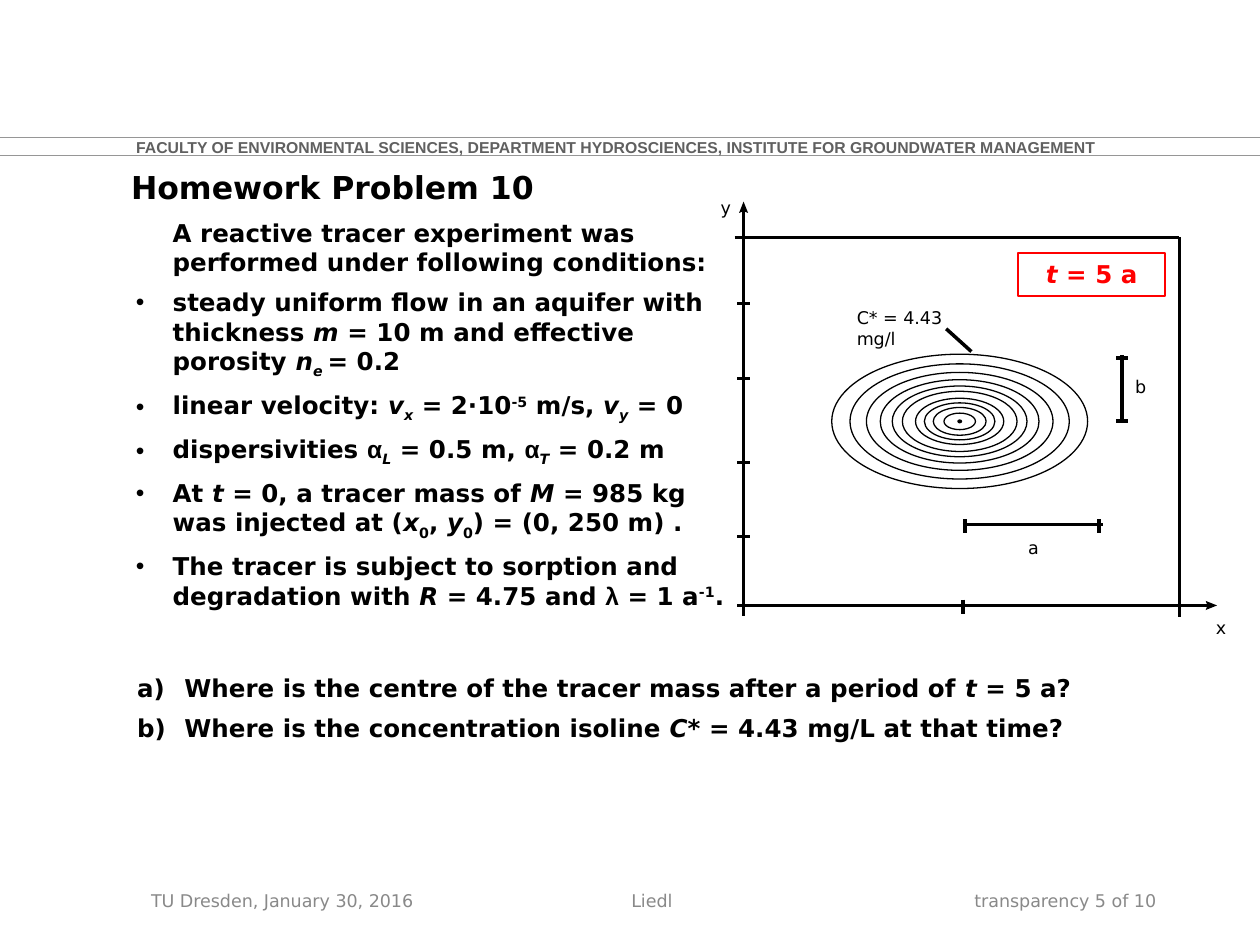
from dataclasses import dataclass

from lxml import etree
from pptx import Presentation
from pptx.dml.color import RGBColor
from pptx.enum.shapes import MSO_CONNECTOR, MSO_SHAPE
from pptx.enum.text import MSO_ANCHOR, PP_ALIGN
from pptx.oxml.ns import qn
from pptx.util import Pt

LEFT, CENTER, RIGHT = PP_ALIGN.LEFT, PP_ALIGN.CENTER, PP_ALIGN.RIGHT
TOP, MIDDLE = MSO_ANCHOR.TOP, MSO_ANCHOR.MIDDLE
STRAIGHT = MSO_CONNECTOR.STRAIGHT
OVAL, RECTANGLE = MSO_SHAPE.OVAL, MSO_SHAPE.RECTANGLE
INSETS = (7.2, 3.6, 7.2, 3.6)
NO_INSETS = (0, 0, 0, 0)
BULLET = ("buChar", {"char": "•"})
LETTER = ("buAutoNum", {"type": "alphaLcParenR"})
BASELINES = {"_": "-25000", "^": "30000"}


@dataclass(frozen=True)
class Theme:
    font: str = "DejaVu Sans"
    plain_font: str = "Arial"
    ink: str = "000000"
    rule: str = "969696"
    banner: str = "606060"
    footer: str = "898989"
    accent: str = "FF0000"
    paper: str = "FFFFFF"
    title_size: float = 18
    body_size: float = 14
    label_size: float = 10
    banner_size: float = 9
    hairline: float = 0


class SlideBuilder:
    def __init__(self, slide, theme):
        self.slide, self.theme = slide, theme

    def line(self, x1, y1, x2, y2, color=None, width=None):
        line = self.slide.shapes.add_connector(
            STRAIGHT, Pt(x1), Pt(y1), Pt(x2), Pt(y2))
        self.outline(line, color or self.theme.ink, width)
        etree.SubElement(line._element.spPr, qn("a:effectLst"))

    def outline(self, shape, color, width=None):
        shape.line.color.rgb = RGBColor.from_string(color)
        shape.line.width = Pt(self.theme.hairline if width is None else width)

    def fill(self, shape, color):
        shape.fill.solid()
        shape.fill.fore_color.rgb = RGBColor.from_string(color)

    def shape(self, kind, x, y, width, height, line, fill=None, line_width=None):
        shape = self.slide.shapes.add_shape(
            kind, Pt(x), Pt(y), Pt(width), Pt(height))
        shape.shadow.inherit = False
        self.outline(shape, line, line_width)
        if fill:
            self.fill(shape, fill)
        else:
            shape.fill.background()
        return shape

    def ellipse(self, x, y, width, height, fill=None):
        self.shape(OVAL, x - width / 2, y - height / 2, width, height,
                   self.theme.ink, fill)

    def arrowhead(self, points):
        corners = [(Pt(x), Pt(y)) for x, y in points]
        builder = self.slide.shapes.build_freeform(*corners[0])
        builder.add_line_segments(corners[1:], close=True)
        head = builder.convert_to_shape()
        head.shadow.inherit = False
        self.fill(head, self.theme.ink)
        head.line.fill.background()

    def text(self, x, y, width, height, paragraphs, **style):
        box = self.slide.shapes.add_textbox(Pt(x), Pt(y), Pt(width), Pt(height))
        self.set_text(box, paragraphs, **style)

    def set_text(self, box, paragraphs, size, color=None, bold=False, font=None,
                 align=LEFT, anchor=TOP, insets=INSETS, wrap=True, hang=0, after=0):
        """Each paragraph is (marker, runs); each run is (text, style flags)."""
        frame = box.text_frame
        frame.word_wrap, frame.vertical_anchor = wrap, anchor
        (frame.margin_left, frame.margin_top,
         frame.margin_right, frame.margin_bottom) = map(Pt, insets)
        for number, (marker, runs) in enumerate(paragraphs):
            para = frame.add_paragraph() if number else frame.paragraphs[0]
            self.indent(para, marker, hang)
            para.alignment, para.space_after = align, Pt(after)
            for words, flags in runs:
                span = para.add_run()
                span.text = words
                span.font.size, span.font.bold = Pt(size), bold
                span.font.italic = "i" in flags
                span.font.name = (self.theme.plain_font if "g" in flags
                                  else font or self.theme.font)
                span.font.color.rgb = RGBColor.from_string(color or self.theme.ink)
                for flag, baseline in BASELINES.items():
                    if flag in flags:
                        span.font._element.set("baseline", baseline)

    def indent(self, para, marker, hang):
        props = para._p.get_or_add_pPr()
        props.set("marL", str(Pt(hang)))
        props.set("indent", str(-Pt(hang) if marker else 0))
        if not marker:
            return
        tint = etree.SubElement(props, qn("a:buClr"))
        etree.SubElement(tint, qn("a:srgbClr"), val=self.theme.ink)
        if marker is BULLET:
            etree.SubElement(props, qn("a:buFont"), typeface=self.theme.plain_font)
        tag, values = marker
        etree.SubElement(props, qn("a:" + tag), **values)


def plain(words):
    return [(None, [(words, "")])]


CONDITIONS = [
    (None, [("A reactive tracer experiment was performed under following conditions:", "")]),
    (BULLET, [("steady uniform flow in an aquifer with thickness ", ""), ("m", "i"),
              (" = 10 m and effective porosity ", ""), ("n", "i"), ("e ", "i_"),
              ("= 0.2", "")]),
    (BULLET, [("linear velocity: ", ""), ("v", "i"), ("x", "i_"), (" = 2·10", ""),
              ("-5", "^"), (" m/s, ", ""), ("v", "i"), ("y", "i_"), (" = 0", "")]),
    (BULLET, [("dispersivities ", ""), ("α", "g"), ("L", "i_"), (" = 0.5 m, ", ""),
              ("α", "g"), ("T", "i_"), (" = 0.2 m", "")]),
    (BULLET, [("At ", ""), ("t", "i"), (" = 0, a tracer mass of ", ""), ("M", "i"),
              (" = 985 kg was injected at (", ""), ("x", "i"), ("0", "_"), (", ", ""),
              ("y", "i"), ("0", "_"), (") = (0, 250 m) .", "")]),
    (BULLET, [("The tracer is subject to sorption and degradation with ", ""),
              ("R", "i"), (" = 4.75 and ", ""), ("λ", "g"), (" = 1 a", ""),
              ("-1", "^"), (".", "")]),
]
QUESTIONS = [
    (LETTER, [("Where is the centre of the tracer mass after a period of ", ""),
              ("t", "i"), (" = 5 a?", "")]),
    (LETTER, [("Where is the concentration isoline ", ""), ("C", "i"),
              ("* = 4.43 mg/L at that time?", "")]),
]


def add_page_frame(page, theme):
    for y in (88.6, 78.5):
        page.line(0, y, 720, y, theme.rule, 0.5)
    page.text(77.8, 79.9, 588, 12.2, plain(
        "FACULTY OF ENVIRONMENTAL SCIENCES, DEPARTMENT HYDROSCIENCES, "
        "INSTITUTE FOR GROUNDWATER MANAGEMENT"),
        size=theme.banner_size, color=theme.banner, bold=True,
        font=theme.plain_font, anchor=MIDDLE, insets=(0, 0, 7.2, 3.6))
    for x, width, align, words in (
            (79.2, 190, LEFT, "TU Dresden, January 30, 2016"),
            (258.5, 228, CENTER, "Liedl"),
            (499.7, 168, RIGHT, "transparency 5 of 10")):
        page.text(x, 500.4, width, 28.8, plain(words), size=theme.label_size,
                  color=theme.footer, align=align, anchor=MIDDLE)


def add_diagram(page, theme):
    # Axes, arrowheads and frame
    left, right, top, base = 424.9, 673.9, 135.6, 346
    page.line(left, 119.5, left, 352)
    page.line(left, base, 690.5, base)
    page.arrowhead([(left + 2.6, 121.7), (left, 120.7), (left - 2.6, 121.7), (left, 115.2)])
    page.arrowhead([(689, base + 2.6), (690, base), (689, base - 2.6), (695.5, base)])
    page.line(419.8, top, right, top)
    page.line(right, top, right, 352.8)

    # Axis ticks
    for y in (base, 306.7, 264.2, 216.4, 173.5):
        page.line(left - 3.6, y, left + 3.6, y)
    page.line(550.4, 342.7, 550.4, 350.6)

    # Concentration isolines around the plume centre
    center_x, center_y = 548.4, 240.8
    for width in (146.2, 125.3, 106.6, 90.7, 77, 65.5, 50.4, 40.3, 30.2, 18):
        page.ellipse(center_x, center_y, width, width * 0.525)
    page.ellipse(center_x, center_y, 2, 1.5, theme.ink)

    # Half-axis dimensions b and a
    for y in (204.5, 240.5):
        page.line(637.9, y, 644.4, y)
    page.line(641.2, 203, 641.2, 241.9)
    for x in (551.5, 628):
        page.line(x, 296.6, x, 304.6)
    page.line(550.1, 299.7, 630, 299.7)

    # Labels and leader line
    for x, y, words in ((411.8, 112.3, "y"), (694.8, 352.8, "x"),
                        (648.7, 214.6, "b"), (587.5, 306.7, "a")):
        page.text(x, y, 6, 12.2, plain(words), size=theme.label_size,
                  insets=NO_INSETS, wrap=False)
    page.text(489.6, 175.7, 69, 24, plain("C* = 4.43 mg/l"),
              size=theme.label_size, insets=NO_INSETS)
    page.line(540.7, 187.9, 555.1, 200.9)

    # Time stamp
    stamp = page.shape(RECTANGLE, 581.8, 144.7, 84.2, 24.5,
                       theme.accent, theme.paper, 1.25)
    page.set_text(stamp, [(None, [("t", "i"), (" = 5 a", "")])], size=theme.body_size,
                  color=theme.accent, bold=True, align=CENTER)


def main():
    deck = Presentation()
    deck.slide_width, deck.slide_height = Pt(720), Pt(540)
    theme = Theme()
    page = SlideBuilder(deck.slides.add_slide(deck.slide_layouts[6]), theme)

    add_page_frame(page, theme)
    # Title, questions and conditions
    page.text(74.9, 92.2, 596, 30.2, plain("Homework Problem 10"),
              size=theme.title_size, bold=True, insets=(0, 3.6, 7.2, 3.6))
    page.text(71.3, 380.9, 626, 46.8, QUESTIONS, size=theme.body_size,
              bold=True, hang=27, after=6)
    page.text(70.6, 121, 352, 232, CONDITIONS, size=theme.body_size,
              bold=True, hang=21, after=6)
    add_diagram(page, theme)
    deck.save("out.pptx")


if __name__ == "__main__":
    main()
